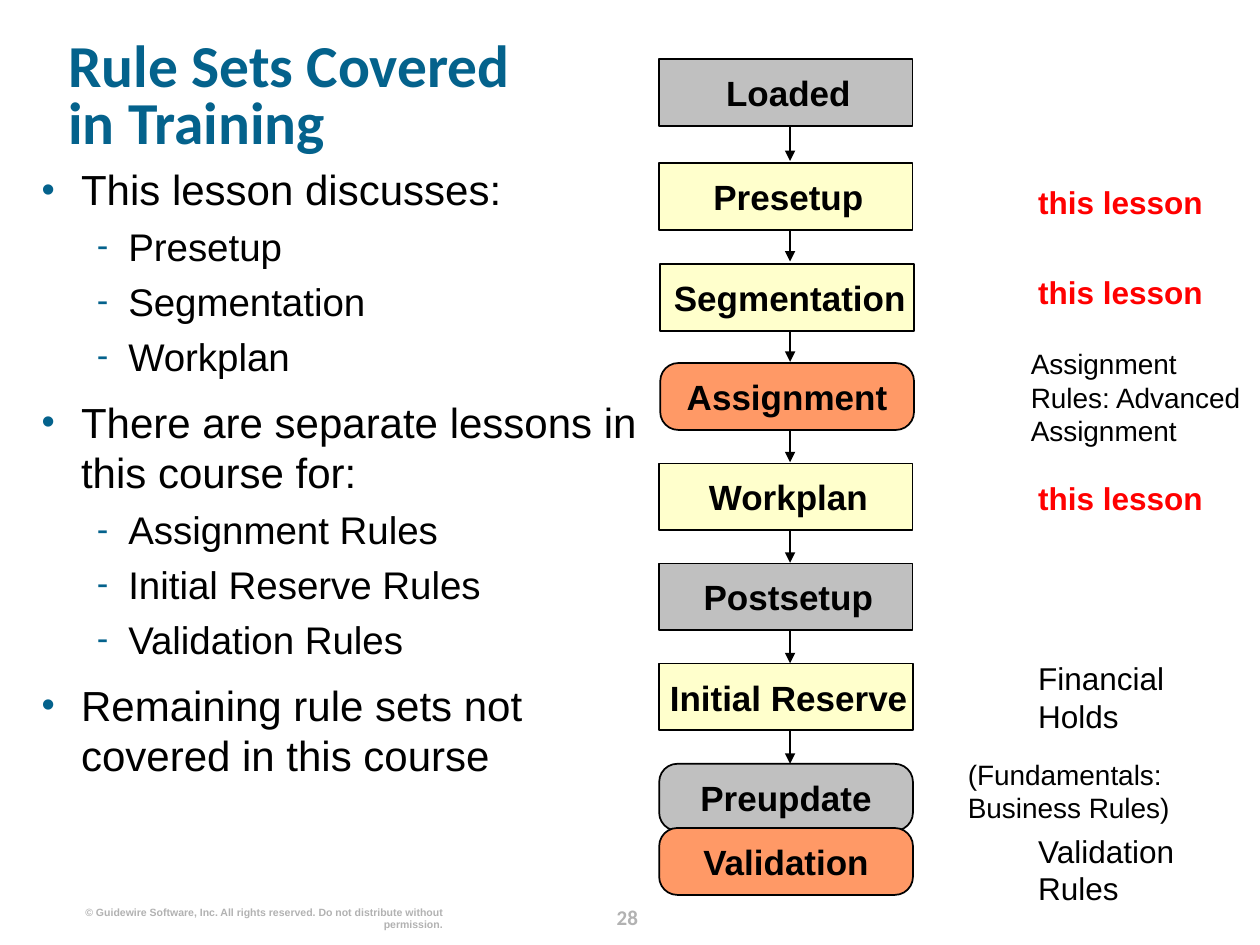
"""Build the slide that shows which rule sets the training covers."""
from dataclasses import dataclass

from lxml.etree import SubElement
from pptx import Presentation
from pptx.dml.color import RGBColor
from pptx.enum.shapes import MSO_CONNECTOR, MSO_SHAPE
from pptx.enum.text import MSO_ANCHOR, MSO_AUTO_SIZE, PP_ALIGN
from pptx.oxml.ns import qn
from pptx.util import Pt


@dataclass(frozen=True)
class Theme:
    heading_font: str = "Calibri"
    body_font: str = "Arial"
    accent: str = "04628C"
    text: str = "000000"
    muted: str = "B2B2B2"
    highlight: str = "FF0000"
    covered: str = "FFFFCC"
    separate: str = "FF9966"
    skipped: str = "C0C0C0"
    title_size: int = 34
    list_sizes: tuple = (24, 22)
    box_size: int = 20
    label_size: int = 18
    small_label_size: int = 16
    number_size: int = 12
    copyright_size: int = 6


THEME = Theme()

BULLETS = (
    {"char": "•", "margin": 22.5, "hanging": 22.5, "before": 10},
    {"char": "-", "margin": 49.5, "hanging": 18, "before": 5},
)

LESSONS = [
    (0, "This lesson discusses:"),
    (1, "Presetup"),
    (1, "Segmentation"),
    (1, "Workplan"),
    (0, "There are separate lessons in this course for:"),
    (1, "Assignment Rules"),
    (1, "Initial Reserve Rules"),
    (1, "Validation Rules"),
    (0, "Remaining rule sets not covered in this course"),
]

RULE_SETS = [
    ("Loaded", 376.5, 33.8, THEME.skipped, False),
    ("Presetup", 376.5, 93.1, THEME.covered, False),
    ("Segmentation", 377.3, 151, THEME.covered, False),
    ("Assignment", 377.3, 207.5, THEME.separate, True),
    ("Workplan", 376.5, 264.8, THEME.covered, False),
    ("Postsetup", 376.5, 322, THEME.skipped, False),
    ("Initial Reserve", 376.7, 379.2, THEME.covered, False),
    ("Preupdate", 376.7, 436.5, THEME.skipped, True),
    ("Validation", 376.7, 473.2, THEME.separate, True),
]

LABELS = [
    ("Assignment Rules: Advanced Assignment", 589, 198, 129, 58, THEME.small_label_size),
    ("Financial Holds", 593.3, 376.6, 114, 44, THEME.label_size),
    ("Validation Rules", 593.3, 475.2, 114, 44, THEME.label_size),
    ("(Fundamentals: Business Rules)", 553, 432.7, 148, 39, THEME.small_label_size),
]

THIS_LESSON_TOPS = (104.4, 156.2, 273.6)


def apply(target, values):
    """Set each named attribute of the target."""
    for name, value in values.items():
        setattr(target, name, value)


class SlideBuilder:
    """Hold the theme and the current slide, and add elements to it."""

    def __init__(self, theme, slide):
        self.theme = theme
        self.slide = slide

    def place(self, shape, left, top, width, height):
        """Move and size a shape in points."""
        apply(shape, {"left": Pt(left), "top": Pt(top), "width": Pt(width), "height": Pt(height)})

    def frame(self, shape, anchor=MSO_ANCHOR.TOP, left_margin=0):
        """Prepare a wrapping text frame with tight margins."""
        apply(shape.text_frame, {
            "word_wrap": True, "auto_size": MSO_AUTO_SIZE.NONE, "vertical_anchor": anchor,
            "margin_left": Pt(left_margin), "margin_right": 0, "margin_top": 0, "margin_bottom": 0,
        })
        return shape.text_frame

    def fill_paragraph(self, paragraph, text, size, color, name=None, bold=False, **layout):
        """Fill a paragraph and format its runs."""
        paragraph.text = text
        apply(paragraph, layout)
        for run in paragraph.runs:
            apply(run.font, {"name": name or self.theme.body_font, "size": Pt(size), "bold": bold})
            run.font.color.rgb = RGBColor.from_string(color)

    def title(self, text, *bounds):
        """Fill the title placeholder."""
        shape = self.slide.shapes.title
        self.place(shape, *bounds)
        theme = self.theme
        self.fill_paragraph(self.frame(shape).paragraphs[0], text, theme.title_size, theme.accent,
                            theme.heading_font, True, alignment=PP_ALIGN.LEFT, line_spacing=0.8)

    def bullet(self, paragraph, level):
        """Give a paragraph the bullet and indent of its level."""
        style = BULLETS[level]
        properties = paragraph._p.get_or_add_pPr()
        properties.set("marL", str(Pt(style["margin"])))
        properties.set("indent", str(-Pt(style["hanging"])))
        color = SubElement(properties, qn("a:buClr"))
        SubElement(color, qn("a:srgbClr"), val=self.theme.accent)
        SubElement(properties, qn("a:buSzPct"), val="90000")
        SubElement(properties, qn("a:buFont"), typeface=self.theme.body_font)
        SubElement(properties, qn("a:buChar"), char=style["char"])

    def body(self, items, *bounds):
        """Fill the body placeholder with a two-level list."""
        shape = self.slide.placeholders[1]
        self.place(shape, *bounds)
        text_frame = self.frame(shape)
        for index, (level, text) in enumerate(items):
            paragraph = text_frame.add_paragraph() if index else text_frame.paragraphs[0]
            self.bullet(paragraph, level)
            before = Pt(BULLETS[level]["before"] if index else 0)
            self.fill_paragraph(paragraph, text, self.theme.list_sizes[level], self.theme.text,
                                level=level, space_before=before)

    def label(self, text, left, top, width, height, size, color=None, **style):
        """Add a text box."""
        shape = self.slide.shapes.add_textbox(Pt(left), Pt(top), Pt(width), Pt(height))
        paragraph = self.frame(shape).paragraphs[0]
        self.fill_paragraph(paragraph, text, size, color or self.theme.text, **style)

    def box(self, text, left, top, fill, rounded):
        """Add a rule set box with its name."""
        kind = MSO_SHAPE.ROUNDED_RECTANGLE if rounded else MSO_SHAPE.RECTANGLE
        shape = self.slide.shapes.add_shape(kind, Pt(left), Pt(top), Pt(145), Pt(38.2))
        if rounded:
            shape.adjustments[0] = 0.27
        shape.shadow.inherit = False
        shape.fill.solid()
        shape.fill.fore_color.rgb = RGBColor.from_string(fill)
        shape.line.color.rgb = RGBColor.from_string(self.theme.text)
        shape.line.width = Pt(1)
        text_frame = self.frame(shape, MSO_ANCHOR.MIDDLE, 0 if rounded else 3)
        self.fill_paragraph(text_frame.paragraphs[0], text, self.theme.box_size, self.theme.text,
                            bold=True, alignment=PP_ALIGN.CENTER)

    def arrow(self, x, top, bottom):
        """Add a downward arrow."""
        connector = self.slide.shapes.add_connector(
            MSO_CONNECTOR.STRAIGHT, Pt(x), Pt(top), Pt(x), Pt(bottom))
        connector.line.color.rgb = RGBColor.from_string(self.theme.text)
        connector.line.width = Pt(1)
        SubElement(connector.line._get_or_add_ln(), qn("a:tailEnd"), type="triangle")
        SubElement(connector._element.spPr, qn("a:effectLst"))


def main():
    """Build and save the presentation."""
    presentation = Presentation()
    apply(presentation, {"slide_width": Pt(720), "slide_height": Pt(540)})
    slide = presentation.slides.add_slide(presentation.slide_layouts[1])
    builder = SlideBuilder(THEME, slide)
    builder.label("28", 338, 513.4, 41, 18, THEME.number_size, THEME.muted,
                  name=THEME.heading_font, bold=True, alignment=PP_ALIGN.CENTER,
                  line_spacing=Pt(18))
    builder.label("© Guidewire Software, Inc. All rights reserved. "
                  "Do not distribute without permission.",
                  44, 517.5, 209, 15, THEME.copyright_size, THEME.muted,
                  bold=True, alignment=PP_ALIGN.RIGHT)
    builder.title("Rule Sets Covered \vin Training", 39, 24, 655, 58)
    builder.body(LESSONS, 23.8, 93.6, 350, 409)
    for index in range(7):
        top = 64.8 + 57.4 * index
        builder.arrow(451.5, top, top + 27.2)
    for rule_set in RULE_SETS:
        builder.box(*rule_set)
    for label in LABELS:
        builder.label(*label)
    for top in THIS_LESSON_TOPS:
        builder.label("this lesson", 593.3, top, 114, 22, THEME.label_size,
                      THEME.highlight, bold=True)
    presentation.save("out.pptx")


if __name__ == "__main__":
    main()
